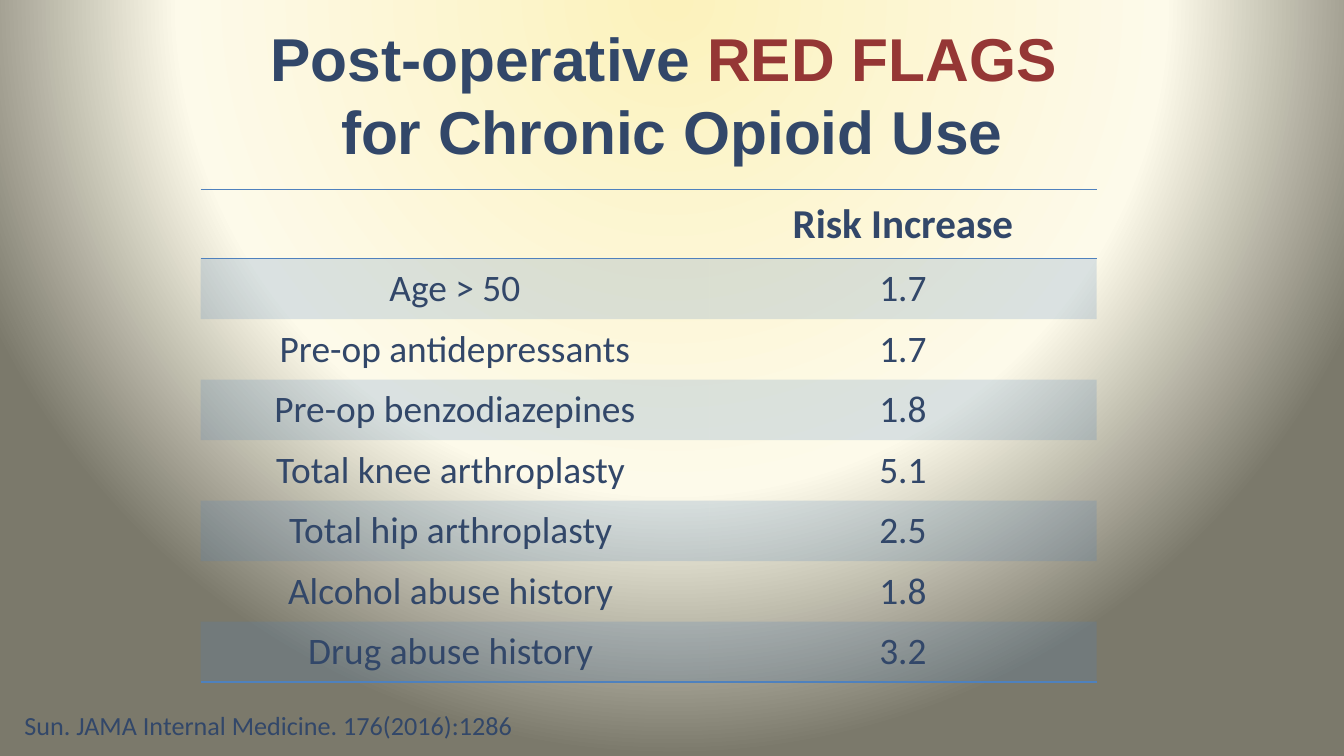
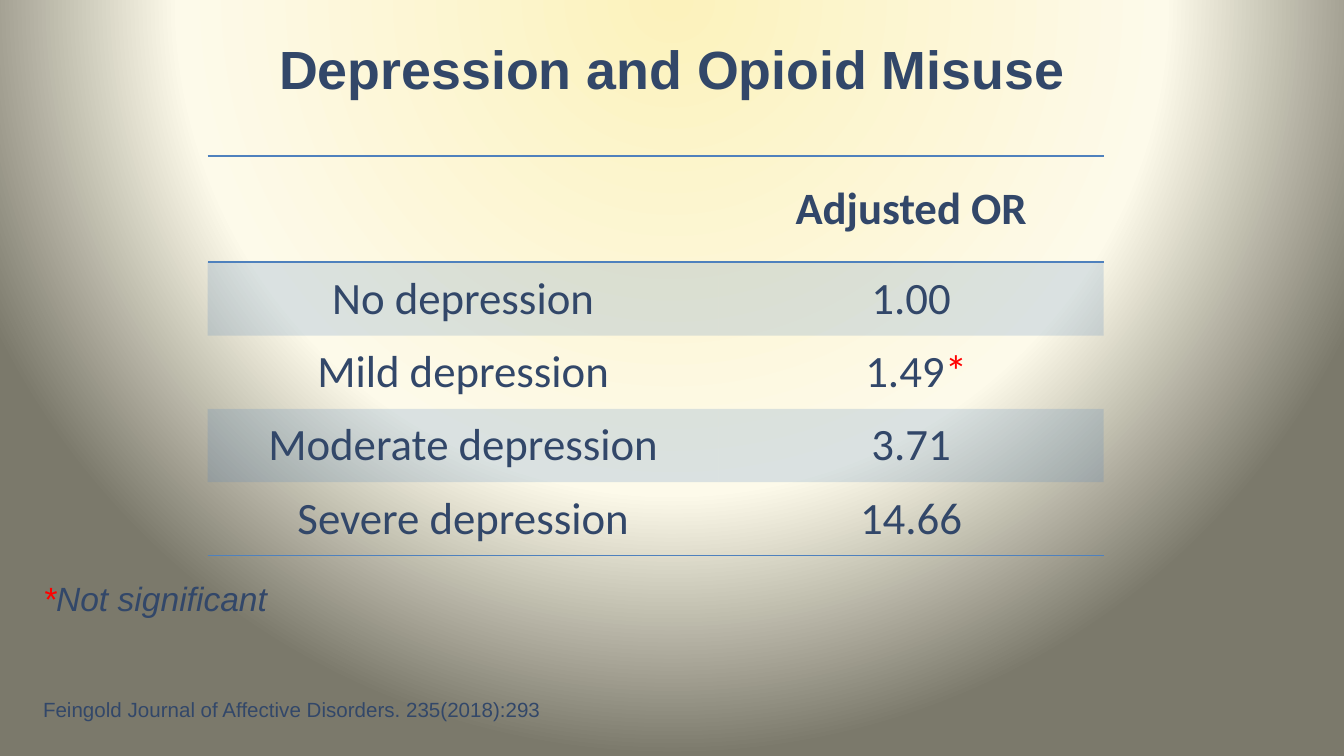
from copy import deepcopy
from dataclasses import dataclass

from lxml.etree import SubElement
from pptx import Presentation
from pptx.dml.color import RGBColor
from pptx.enum.text import MSO_ANCHOR as Anchor, MSO_AUTO_SIZE as AutoSize, PP_ALIGN as Align
from pptx.oxml import parse_xml
from pptx.oxml.ns import nsdecls, qn
from pptx.util import Pt


@dataclass(frozen=True)
class Theme:
    ink: str = "324769"
    flag: str = "953735"
    marker: str = "FF0000"
    accent: str = "4F81BD"
    band_opacity: int = 20
    glow: tuple = ((0, "FCF2BC", 100), (64, "FDFAEA", 100), (98, "7B796B", 30))
    heading_font: str = "Arial"
    table_font: str = "Calibri"
    title_large: float = 32.4
    title_small: float = 28.8
    header_compact: int = 22
    cell_compact: int = 20
    cell_large: int = 24
    note: int = 18
    citation: int = 14
    citation_small: int = 11


LINE_BREAK = "\n"
PLAIN_TABLE_STYLE = "{2D5ABB26-0587-4C30-8999-92F81FD0307C}"


class Deck:
    def __init__(self, theme):
        self.theme = theme
        self.presentation = Presentation()
        self.presentation.slide_width = Pt(720)
        self.presentation.slide_height = Pt(405)
        self.slide = None

    def add_slide(self):
        layout = self.presentation.slide_layouts.get_by_name("Title Only")
        self.slide = self.presentation.slides.add_slide(layout)
        self.slide.background.fill.gradient()
        gradient = self.slide.element.find(".//" + qn("a:gradFill"))
        stops = "".join(
            f'<a:gs pos="{position * 1000}"><a:srgbClr val="{color}">'
            f'<a:alpha val="{opacity * 1000}"/></a:srgbClr></a:gs>'
            for position, color, opacity in self.theme.glow
        )
        gradient.getparent().replace(gradient, parse_xml(
            f'<a:gradFill {nsdecls("a")} rotWithShape="1"><a:gsLst>{stops}</a:gsLst>'
            '<a:path path="circle"><a:fillToRect l="50000" t="-80000" r="50000" b="180000"/>'
            "</a:path></a:gradFill>"
        ))

    def add_runs(self, paragraph, runs, size, font, bold=False, italic=False):
        for text, color in runs:
            if text == LINE_BREAK:
                paragraph.add_line_break()
                paragraph._p[-1].append(deepcopy(run._r.rPr))
                continue
            run = paragraph.add_run()
            run.text = text
            run.font.size = Pt(size)
            run.font.name = font
            run.font.bold = bold
            run.font.italic = italic
            run.font.color.rgb = RGBColor.from_string(color)

    def title(self, runs, size, height):
        title = self.slide.shapes.title
        title.left, title.top, title.width, title.height = Pt(36), Pt(16.5), Pt(648), Pt(height)
        frame = title.text_frame
        frame.auto_size = AutoSize.NONE
        frame.vertical_anchor = Anchor.MIDDLE
        paragraph = frame.paragraphs[0]
        paragraph.alignment = Align.CENTER
        self.add_runs(paragraph, runs, size, self.theme.heading_font, bold=True)

    def text_box(self, left, top, width, height, wrap=True):
        shape = self.slide.shapes.add_textbox(Pt(left), Pt(top), Pt(width), Pt(height))
        shape.text_frame.word_wrap = wrap
        return shape.text_frame

    def border(self, cell, side):
        line = SubElement(cell._tc.get_or_add_tcPr(), qn(f"a:ln{side}"), w=str(Pt(1)))
        fill = SubElement(line, qn("a:solidFill"))
        SubElement(fill, qn("a:srgbClr"), val=self.theme.accent)

    def shade(self, cell, banded):
        if not banded:
            cell.fill.background()
            return
        cell.fill.solid()
        cell.fill.fore_color.rgb = RGBColor.from_string(self.theme.accent)
        color = cell._tc.tcPr.find(qn("a:solidFill")).find(qn("a:srgbClr"))
        SubElement(color, qn("a:alpha"), val=str(self.theme.band_opacity * 1000))

    def table(self, left, top, widths, header_height, row_height, header, rows, header_size, size):
        heights = [header_height] + [row_height] * len(rows)
        frame = self.slide.shapes.add_table(
            len(heights), len(widths), Pt(left), Pt(top), Pt(sum(widths)), Pt(sum(heights))
        )
        table = frame.table
        table.first_row = table.horz_banding = False
        table._tbl.tblPr.find(qn("a:tableStyleId")).text = PLAIN_TABLE_STYLE
        for column, width in zip(table.columns, widths):
            column.width = Pt(width)
        for index, (height, values) in enumerate(zip(heights, [("", header), *rows])):
            table.rows[index].height = Pt(height)
            for cell, value in zip(table.rows[index].cells, values):
                if index == 0:
                    self.border(cell, "T")
                if index in (0, len(rows)):
                    self.border(cell, "B")
                self.shade(cell, index % 2 == 1)
                cell.vertical_anchor = Anchor.MIDDLE
                paragraph = cell.text_frame.paragraphs[0]
                paragraph.alignment = Align.CENTER
                if not value:
                    continue
                runs = [(value, self.theme.ink)] if isinstance(value, str) else value
                text_size = header_size if index == 0 else size
                self.add_runs(paragraph, runs, text_size, self.theme.table_font, bold=index == 0)


def red_flags(deck):
    theme = deck.theme
    deck.add_slide()
    deck.title(
        [
            ("Post-operative ", theme.ink),
            ("RED FLAGS ", theme.flag),
            (LINE_BREAK, theme.flag),
            ("for Chronic Opioid Use", theme.ink),
        ],
        theme.title_large, 67.5,
    )
    risks = [
        ("Age > 50", "1.7"),
        ("Pre-op antidepressants", "1.7"),
        ("Pre-op benzodiazepines", "1.8"),
        ("Total knee arthroplasty ", "5.1"),
        ("Total hip arthroplasty ", "2.5"),
        ("Alcohol abuse history ", "1.8"),
        ("Drug abuse history ", "3.2"),
    ]
    deck.table(107.5, 101.6, (272.5, 207.5), 37, 32.4, "Risk Increase", risks,
               theme.header_compact, theme.cell_compact)
    frame = deck.text_box(6, 376.5, 278.5, 24.5, wrap=False)
    deck.add_runs(frame.paragraphs[0], [("Sun. JAMA Internal Medicine. 176(2016):1286", theme.ink)],
                  theme.citation, theme.table_font)


def depression(deck):
    theme = deck.theme
    deck.add_slide()
    deck.title([("Depression and Opioid Misuse", theme.ink)], theme.title_small, 39.5)
    frame = deck.text_box(16, 306, 648, 90)
    deck.add_runs(frame.paragraphs[0], [("*", theme.marker), ("Not significant", theme.ink)],
                  theme.note, theme.heading_font, italic=True)
    citation = frame.add_paragraph()
    citation.space_before = Pt(42)
    deck.add_runs(citation, [("Feingold Journal of Affective Disorders. 235(2018):293", theme.ink)],
                  theme.citation_small, theme.heading_font)
    odds = [
        ("No depression", "1.00"),
        ("Mild depression", [(" 1.49", theme.ink), ("*", theme.marker)]),
        ("Moderate depression", "3.71"),
        ("Severe depression", "14.66"),
    ]
    deck.table(111.2, 83.5, (273.8, 206.2), 57, 39.3, "Adjusted OR", odds,
               theme.cell_large, theme.cell_large)


def main():
    deck = Deck(Theme())
    red_flags(deck)
    depression(deck)
    deck.presentation.save("out.pptx")


if __name__ == "__main__":
    main()
